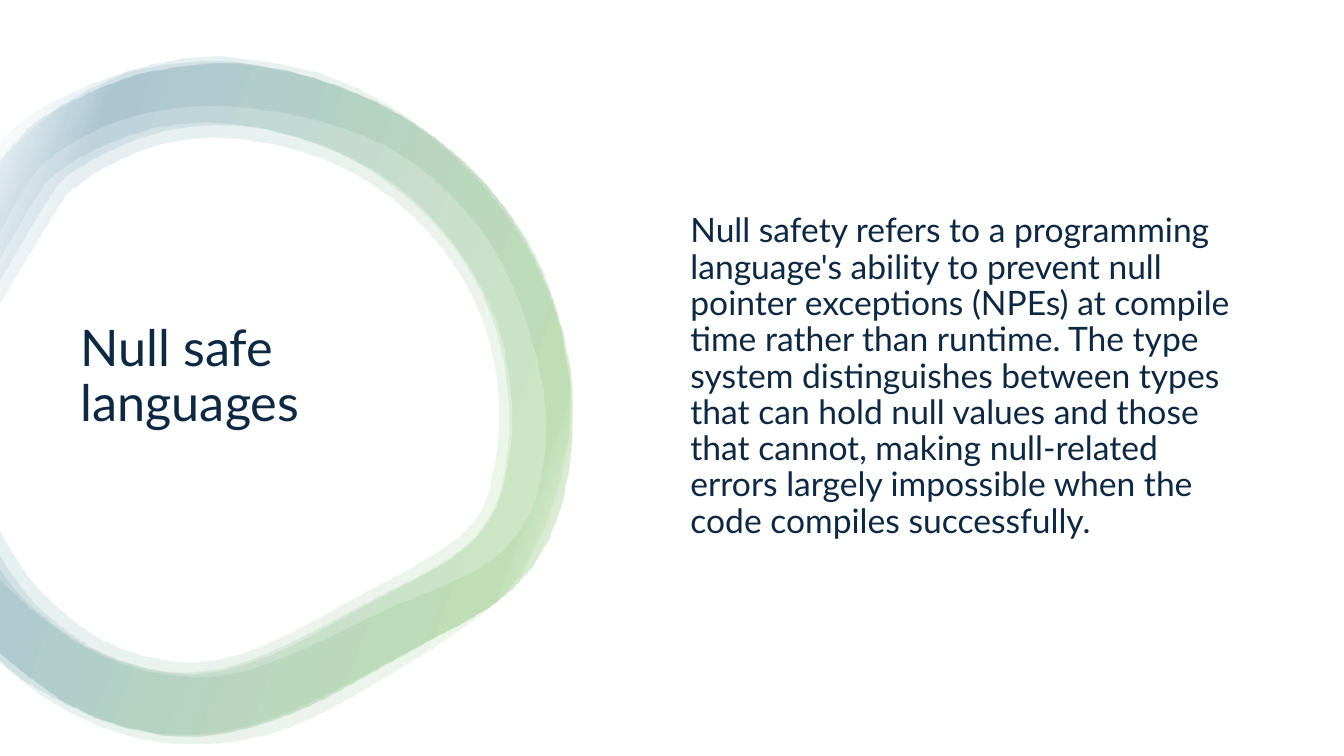
import lxml.etree
import pptx
import pptx.dml.color
import pptx.enum.text
import pptx.oxml.ns
import pptx.util

Cm = pptx.util.Cm

COLOURS = {"ink": "0E2841", "paper": "FFFFFF", "green": "4EA72E", "blue": "156082"}

TITLE = {"text": "Null safe languages", "size": 36, "box": (1.78, 3.45, 10.72, 12.14)}
DEFINITION = {
    "text": "Null safety refers to a programming language's ability to prevent null "
            "pointer exceptions (NPEs) at compile time rather than runtime. The type "
            "system distinguishes between types that can hold null values and those "
            "that cannot, making null-related errors largely impossible when the code "
            "compiles successfully.",
    "size": 24, "box": (17.15, 2.24, 14.5, 14.53),
}

# Ring edges: points on smooth curves, in hundredths of an inch.
# Outer edges run clockwise from top left, inner edges run back.
UNIT_CM = 0.0254
WIDE_OUTER = [
    (-2, 160), (60, 105), (108, 80), (151, 64), (218, 56), (315, 72), (390, 107),
    (455, 157), (499, 204), (541, 273), (565, 383), (555, 477), (518, 567),
    (470, 614), (392, 665), (308, 712), (243, 733), (171, 737), (103, 721),
    (41, 689), (-2, 653)]
WIDE_INNER = [
    (-2, 572), (31, 603), (76, 636), (125, 659), (177, 670), (229, 668), (282, 651),
    (335, 627), (391, 600), (447, 577), (496, 548), (528, 502), (540, 444),
    (538, 385), (520, 314), (497, 260), (473, 223), (433, 180), (385, 146),
    (331, 124), (275, 111), (217, 105), (161, 109), (106, 124), (56, 152),
    (28, 181), (-2, 236)]
SOFT_OUTER = [
    (-2, 143), (20, 122), (51, 102), (125, 71), (202, 61), (251, 64), (303, 75),
    (370, 100), (428, 136), (478, 183), (518, 237), (547, 298), (564, 365),
    (567, 434), (556, 504), (528, 562), (485, 602), (431, 632), (373, 663),
    (314, 694), (254, 718), (190, 729), (122, 721), (69, 700), (21, 673), (-2, 653)]
SOFT_INNER = [
    (-2, 561), (16, 585), (37, 606), (84, 640), (138, 661), (186, 667), (235, 659),
    (289, 637), (342, 609), (388, 585), (429, 564), (462, 541), (482, 518),
    (496, 488), (505, 431), (502, 373), (489, 318), (465, 267), (431, 222),
    (389, 184), (341, 154), (287, 134), (231, 123), (178, 123), (129, 134),
    (82, 155), (58, 171), (45, 183), (20, 223), (-2, 261)]
MAIN_OUTER = [
    (-2, 163), (27, 129), (62, 105), (135, 74), (211, 63), (259, 66), (310, 77),
    (375, 102), (433, 138), (482, 183), (520, 237), (548, 298), (565, 365),
    (567, 434), (556, 504), (528, 562), (486, 602), (432, 632), (376, 663),
    (318, 695), (258, 719), (195, 731), (129, 723), (63, 696), (-2, 646)]
DEEP_INNER = [
    (-2, 523), (27, 570), (55, 600), (98, 633), (148, 652), (195, 657), (241, 648),
    (288, 628), (339, 600), (386, 575), (425, 553), (455, 532), (474, 511),
    (485, 485), (494, 430), (492, 375), (480, 323), (457, 274), (425, 231),
    (386, 195), (341, 167), (291, 148), (238, 138), (189, 138), (144, 148),
    (99, 169), (78, 184), (66, 194), (42, 232), (-2, 306)]
MID_INNER = [
    (-2, 547), (10, 566), (27, 589), (46, 609), (92, 643), (145, 663), (192, 669),
    (241, 660), (294, 638), (345, 610), (391, 585), (431, 564), (463, 542),
    (484, 517), (497, 488), (507, 431), (504, 373), (492, 319), (467, 268),
    (434, 223), (394, 185), (346, 156), (294, 136), (240, 125), (187, 126),
    (139, 137), (93, 158), (69, 173), (56, 186), (31, 226), (-2, 283)]
RINGS = [(WIDE_OUTER, WIDE_INNER), (SOFT_OUTER, SOFT_INNER),
         (MAIN_OUTER, DEEP_INNER), (MAIN_OUTER, MID_INNER)]

GRADIENT = [(2, "paper"), (16, "green"), (85, "blue"), (100, "paper")]
OPACITY = 10
GRADIENT_ANGLE = 160


def smooth(points):
    """Add the Catmull-Rom midpoint between each pair of neighbours."""
    padded = [points[0], *points, points[-1]]
    curve = [points[0]]
    for a, b, c, d in zip(padded, padded[1:], padded[2:], padded[3:]):
        middle = tuple((9 * (q + r) - p - s) / 16 for p, q, r, s in zip(a, b, c, d))
        curve += [middle, c]
    return curve


def add_ring(shapes, outer, inner):
    outline = [(Cm(x * UNIT_CM), Cm(y * UNIT_CM)) for x, y in smooth(outer) + smooth(inner)]
    builder = shapes.build_freeform(*outline[0])
    builder.add_line_segments(outline[1:], close=True)
    ring = builder.convert_to_shape()
    ring.shadow.inherit = False
    ring.line.fill.background()
    ring.fill.gradient()
    ring.fill.gradient_angle = GRADIENT_ANGLE
    # Translucent colour stops
    qn = pptx.oxml.ns.qn
    stops = next(ring._element.iter(qn("a:gsLst")))
    for stop in list(stops):
        stops.remove(stop)
    for position, colour in GRADIENT:
        stop = lxml.etree.SubElement(stops, qn("a:gs"), pos=str(position * 1000))
        tint = lxml.etree.SubElement(stop, qn("a:srgbClr"), val=COLOURS[colour])
        lxml.etree.SubElement(tint, qn("a:alpha"), val=str(OPACITY * 1000))


def write(holder, content):
    frame = holder.text_frame
    frame.text = content["text"]
    paragraph = frame.paragraphs[0]
    formats = [
        (holder, dict(zip(("left", "top", "width", "height"), map(Cm, content["box"])))),
        (frame, {"word_wrap": True, "auto_size": pptx.enum.text.MSO_AUTO_SIZE.NONE,
                 "vertical_anchor": pptx.enum.text.MSO_ANCHOR.MIDDLE}),
        (paragraph, {"alignment": pptx.enum.text.PP_ALIGN.LEFT, "line_spacing": 0.9,
                     "space_before": pptx.util.Pt(0), "space_after": pptx.util.Pt(6)}),
        (paragraph.runs[0].font, {"name": "Lato", "size": pptx.util.Pt(content["size"])}),
        (paragraph.runs[0].font.color,
         {"rgb": pptx.dml.color.RGBColor.from_string(COLOURS["ink"])}),
    ]
    for target, values in formats:
        for key, value in values.items():
            setattr(target, key, value)


def main():
    deck = pptx.Presentation()
    deck.slide_width, deck.slide_height = Cm(33.87), Cm(19.05)
    slide = deck.slides.add_slide(deck.slide_layouts[5])

    # White ground
    slide.background.fill.solid()
    slide.background.fill.fore_color.rgb = pptx.dml.color.RGBColor.from_string(COLOURS["paper"])

    # Overlapping rings
    rings = slide.shapes.add_group_shape()
    for outer, inner in RINGS:
        add_ring(rings.shapes, outer, inner)

    # Title and definition
    write(slide.shapes.title, TITLE)
    write(slide.shapes.add_textbox(*map(Cm, DEFINITION["box"])), DEFINITION)

    deck.save("out.pptx")


if __name__ == "__main__":
    main()
